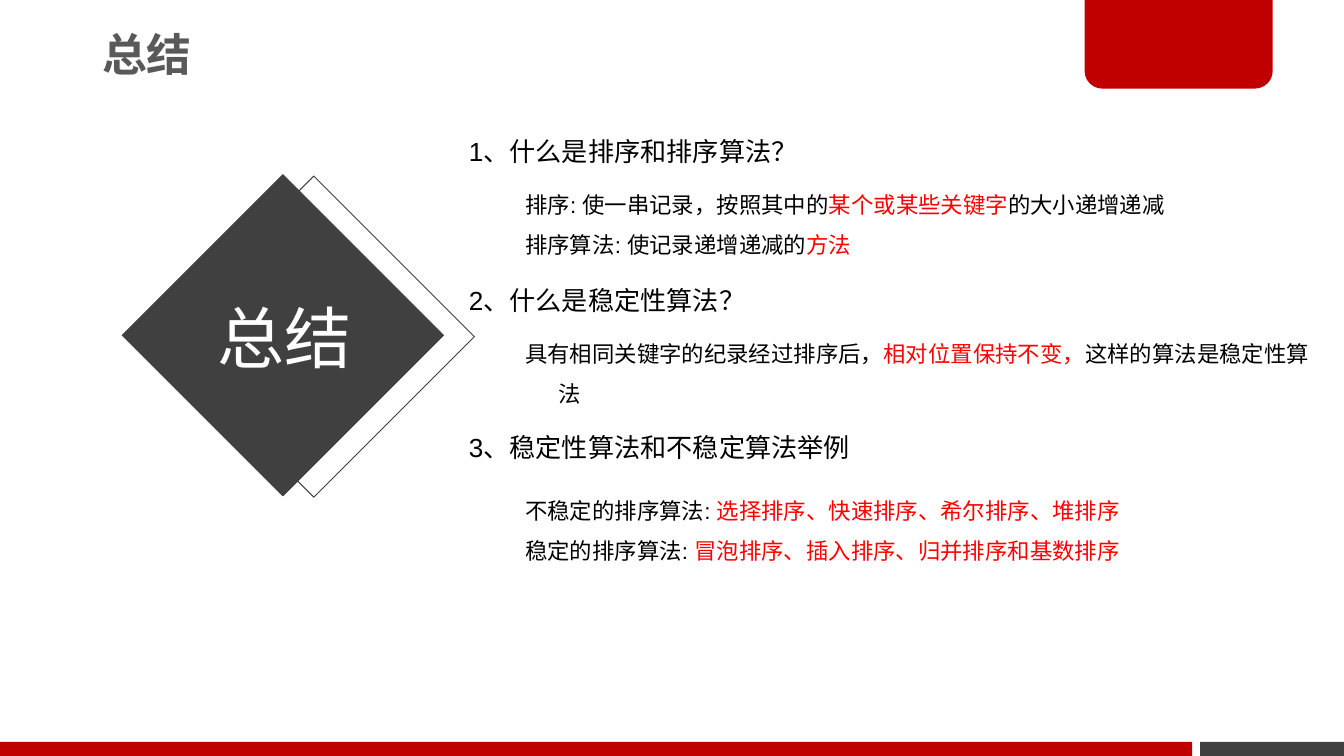
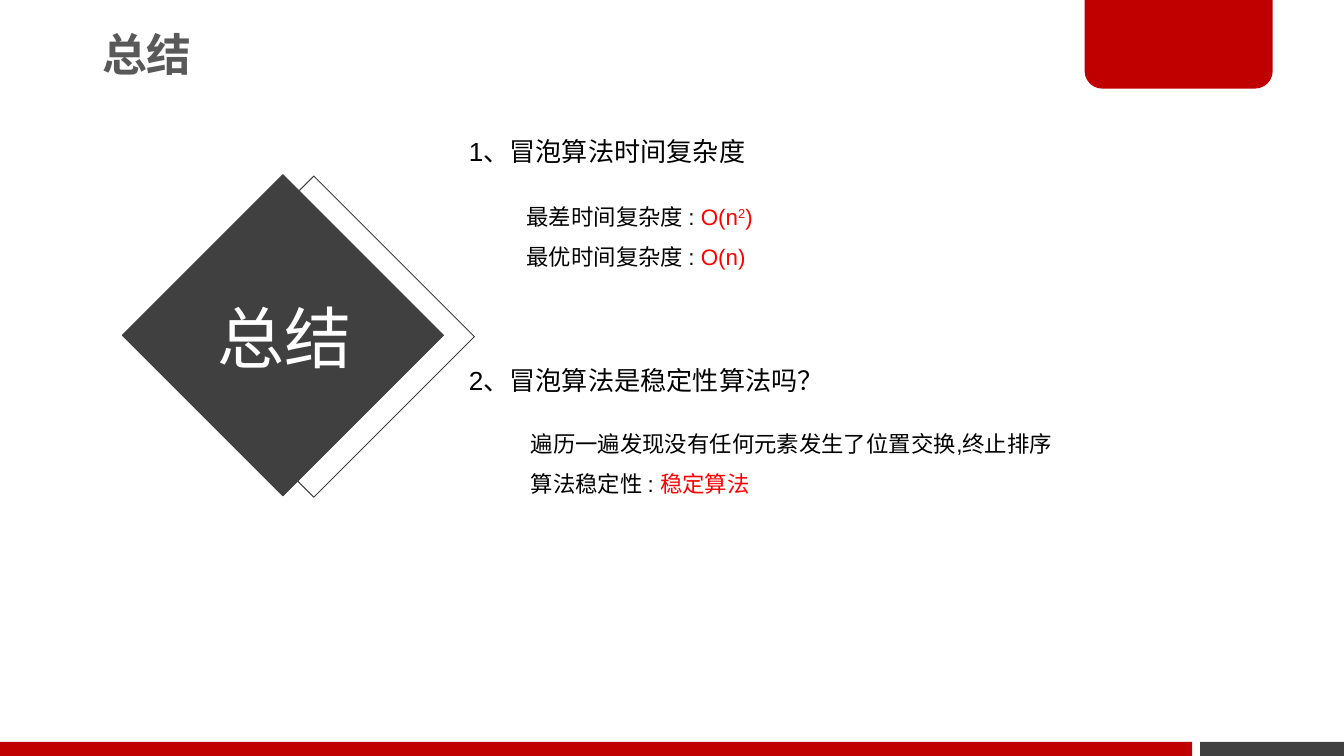
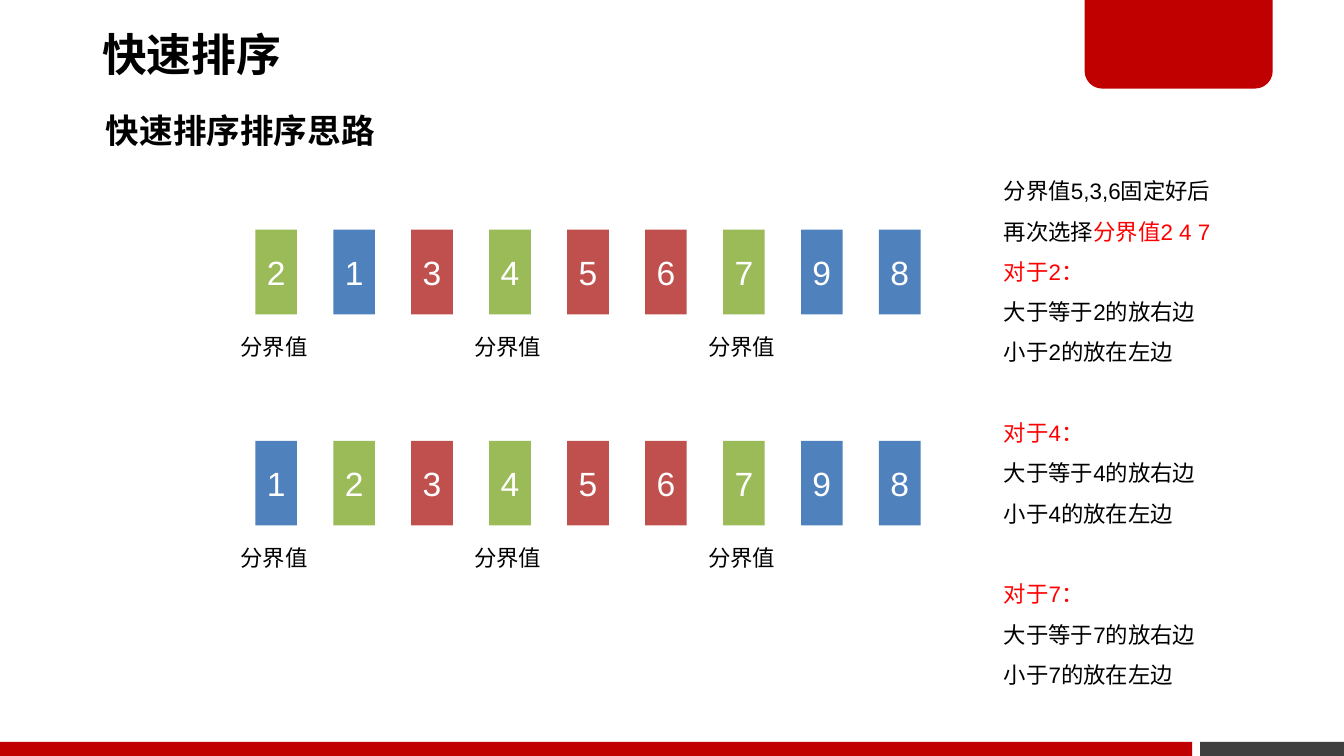
from collections import namedtuple

from pptx import Presentation
from pptx.dml.color import RGBColor
from pptx.enum.shapes import MSO_SHAPE
from pptx.enum.text import MSO_ANCHOR, MSO_AUTO_SIZE, PP_ALIGN
from pptx.util import Inches, Pt

SLIDE_WIDTH, SLIDE_HEIGHT = Inches(10), Inches(5.625)
GRID = SLIDE_WIDTH / 100  # the slide is 100 columns by 56.25 rows

FONT = "Arial"
BLACK, WHITE, RED = "000000", "FFFFFF", "FF0000"
CRIMSON, CHARCOAL, TITLE_GRAY = "C00000", "404040", "595959"
WAITING, FIXED, PIVOT = "4F81BD", "C0504D", "9BBB59"
BAR_COLORS = {"w": WAITING, "f": FIXED, "p": PIVOT}

Run = namedtuple("Run", "text color raised", defaults=(BLACK, False))
Paragraph = namedtuple("Paragraph", "runs space_before", defaults=(0,))


def rgb(color):
    return RGBColor.from_string(color)


def red(text, raised=False):
    return Run(text, RED, raised)


def line_of(*pieces, space_before=0):
    """Make a paragraph from runs and plain strings, which become black runs."""
    runs = [Run(piece) if isinstance(piece, str) else piece for piece in pieces]
    return Paragraph(runs, space_before)


def place(columns_and_rows):
    return [round(value * GRID) for value in columns_and_rows]


def write(frame, paragraphs, size, bold=False, align=PP_ALIGN.LEFT,
          spacing=None, hanging=0):
    """Fill a text frame; hanging is the hanging indent in columns."""
    for index, content in enumerate(paragraphs):
        paragraph = frame.add_paragraph() if index else frame.paragraphs[0]
        paragraph.alignment = align
        if spacing:
            paragraph.line_spacing = spacing
        if content.space_before:
            paragraph.space_before = Pt(content.space_before)
        if hanging:
            indent = round(hanging * GRID)
            properties = paragraph._p.get_or_add_pPr()
            properties.set("marL", str(indent))
            properties.set("indent", str(-indent))
        paragraph.font.name = FONT
        paragraph.font.size = Pt(size)
        paragraph.font.bold = bold
        one_color = len({piece.color for piece in content.runs}) == 1
        if one_color:
            paragraph.font.color.rgb = rgb(content.runs[0].color)
        for piece in content.runs:
            run = paragraph.add_run()
            run.text = piece.text
            if not one_color:
                run.font.color.rgb = rgb(piece.color)
            if piece.raised:
                run._r.get_or_add_rPr().set("baseline", "30000")


def add_text(slide, area, paragraphs, size, wrap=True, **style):
    frame = slide.shapes.add_textbox(*place(area)).text_frame
    frame.word_wrap = wrap
    frame.auto_size = MSO_AUTO_SIZE.SHAPE_TO_FIT_TEXT
    write(frame, paragraphs, size, **style)


def add_banner_text(slide, area, text, size, color, **style):
    """Add a tight, vertically centred text such as a title."""
    frame = slide.shapes.add_textbox(*place(area)).text_frame
    frame.word_wrap = True
    frame.vertical_anchor = MSO_ANCHOR.MIDDLE
    frame.margin_left = frame.margin_right = round(0.7 * GRID)
    frame.margin_top = frame.margin_bottom = round(0.4 * GRID)
    write(frame, [line_of(Run(text, color))], size, spacing=0.9, **style)


def add_block(slide, area, fill=None, outline=None, kind=MSO_SHAPE.RECTANGLE):
    shape = slide.shapes.add_shape(kind, *place(area))
    shape.shadow.inherit = False
    if fill:
        shape.fill.solid()
        shape.fill.fore_color.rgb = rgb(fill)
    else:
        shape.fill.background()
    if outline:
        shape.line.color.rgb = rgb(outline)
        shape.line.width = Pt(0.5)
    else:
        shape.line.fill.background()
    return shape


def add_slide(presentation, title, title_color):
    """Add a blank slide with the footer bands, corner tab and title."""
    slide = presentation.slides.add_slide(presentation.slide_layouts[6])
    add_block(slide, (89.3, 55.2, 10.7, 1.05), CHARCOAL)
    tab = add_block(slide, (80.7, 0, 14, 6.6), CRIMSON,
                    kind=MSO_SHAPE.ROUND_2_SAME_RECTANGLE)
    tab.adjustments[0], tab.adjustments[1] = 0, 0.2
    add_block(slide, (0, 55.2, 88.7, 1.05), CRIMSON)
    add_banner_text(slide, (6.9, -0.2, 58.9, 8.9), title, 24, title_color, bold=True)
    return slide


def add_summary_slide(presentation):
    slide = add_slide(presentation, "总结", TITLE_GRAY)
    for left, top, fill in ((14.9, 16.6, None), (12.6, 16.5, CHARCOAL)):
        add_block(slide, (left, top, 16.9, 16.9), fill, CHARCOAL).rotation = 45
    add_banner_text(slide, (0.2, 21, 41.9, 8.9), "总结", 36, WHITE,
                    align=PP_ALIGN.CENTER)
    return slide


def add_question(slide, top, text):
    add_text(slide, (33.9, top, 57.8, 3.4), [line_of(text)], 14, hanging=2.5)


def add_answer(slide, top, *paragraphs, left=38.1, width=56.7):
    add_text(slide, (left, top, width, 3.4 * len(paragraphs)), paragraphs, 12,
             spacing=1.5, hanging=2.5)


def add_number_row(slide, top, numbers, states):
    """Draw one step of the sort, with a label under the pivots' places."""
    for index, (number, state) in enumerate(zip(numbers, states)):
        left = 19 + 5.8 * index
        bar = add_block(slide, (left, top, 3.1, 6.3), BAR_COLORS[state])
        frame = bar.text_frame
        frame.margin_left = frame.margin_right = 0
        frame.vertical_anchor = MSO_ANCHOR.MIDDLE
        write(frame, [line_of(Run(number, WHITE))], 18, align=PP_ALIGN.CENTER)
        if index % 3 == 0:
            add_text(slide, (left - 2.1, top + 7.2, 7.1, 3), [line_of("分界值")], 12,
                     wrap=False)


def build_sorting_summary(presentation):
    slide = add_summary_slide(presentation)
    add_question(slide, 9.6, "1、什么是排序和排序算法？")
    add_answer(slide, 12.7,
               line_of("排序: 使一串记录，按照其中的", red("某个或某些关键字"),
                       "的大小递增递减"),
               line_of("排序算法: 使记录递增递减的", red("方法")))
    add_question(slide, 20.7, "2、什么是稳定性算法？")
    add_answer(slide, 23.8,
               line_of("具有相同关键字的纪录经过排序后，", red("相对位置保持不变，"),
                       "这样的算法是稳定性算法"), width=61.7)
    add_question(slide, 31.6, "3、稳定性算法和不稳定算法举例")
    add_answer(slide, 35.5,
               line_of("不稳定的排序算法: ", red("选择排序、快速排序、希尔排序、堆排序")),
               line_of("稳定的排序算法: ", red("冒泡排序、插入排序、归并排序和基数排序")))


def build_bubble_summary(presentation):
    slide = add_summary_slide(presentation)
    add_question(slide, 9.6, "1、冒泡算法时间复杂度")
    add_answer(slide, 13.6,
               line_of("最差时间复杂度 : ", red("O(n"), red("2", raised=True), red(")")),
               line_of("最优时间复杂度 : ", red("O(n)")), left=38.2)
    add_question(slide, 26.6, "2、冒泡算法是稳定性算法吗？")
    add_answer(slide, 30.5,
               line_of("遍历一遍发现没有任何元素发生了位置交换,终止排序"),
               line_of("算法稳定性 : ", red("稳定算法")), left=38.5, width=50.1)


def build_quick_sort(presentation):
    slide = add_slide(presentation, "快速排序", BLACK)
    add_text(slide, (6.9, 7.7, 22.3, 4), [line_of("快速排序排序思路")], 18,
             wrap=False, bold=True)
    add_number_row(slide, 17.1, "213456798", "pwfpffpww")
    add_number_row(slide, 32.8, "123456798", "wpfpffpww")

    steps = [line_of("分界值5,3,6固定好后"),
             line_of("再次选择", red("分界值2 4 7"))]
    for pivot, gap in ((2, 0), (4, 21.6), (7, 21.6)):
        steps += [line_of(red(f"对于{pivot}："), space_before=gap),
                  line_of(f"大于等于{pivot}的放右边"),
                  line_of(f"小于{pivot}的放在左边")]
    add_text(slide, (73.7, 11.7, 23.5, 40.1), steps, 12, spacing=1.5)


def main():
    presentation = Presentation()
    presentation.slide_width = SLIDE_WIDTH
    presentation.slide_height = SLIDE_HEIGHT
    build_sorting_summary(presentation)
    build_bubble_summary(presentation)
    build_quick_sort(presentation)
    presentation.save("out.pptx")


if __name__ == "__main__":
    main()
